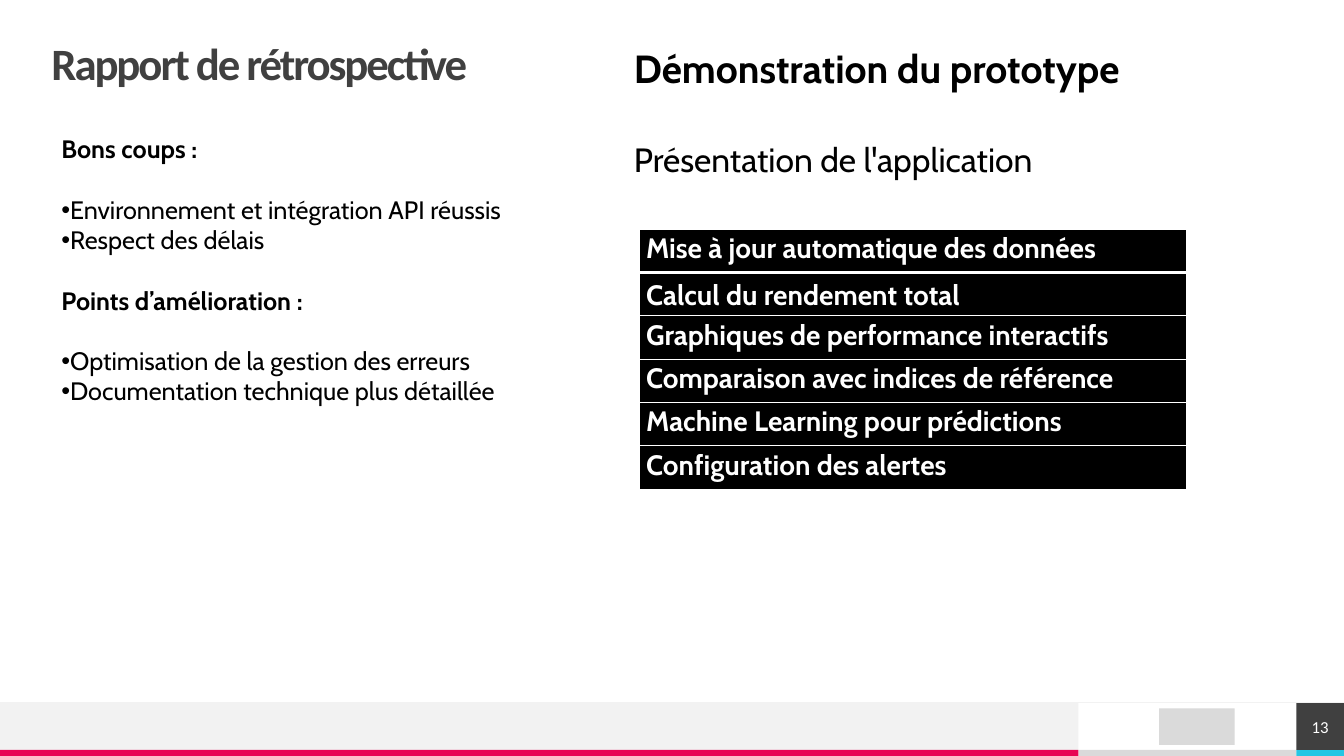
from lxml import etree
from pptx import Presentation
from pptx.dml.color import RGBColor
from pptx.enum import shapes, text
from pptx.oxml import ns
from pptx.util import Pt

BLACK, WHITE, DARK, LIGHT, CYAN = "000000", "FFFFFF", "404040", "F2F2F2", "25C6E3"
GREY = "DADADA"
PAGE_WIDTH, PAGE_HEIGHT = 960, 540
MIDDLE = text.MSO_ANCHOR.MIDDLE


def color(value):
    return RGBColor.from_string(value)


def add_span(para, words, size, font="Cabin", fill=BLACK, bold=False, spacing=0):
    """Add one run; spacing is the letter spacing in points."""
    span = para.add_run()
    span.text = words
    span.font.size = Pt(size)
    span.font.name = font
    span.font.bold = bold
    span.font.color.rgb = color(fill)
    if spacing:
        span.font._element.set("spc", str(round(spacing * 100)))


deck = Presentation()
deck.slide_width, deck.slide_height = Pt(PAGE_WIDTH), Pt(PAGE_HEIGHT)
page = deck.slides.add_slide(deck.slide_layouts[6])

# Footer band, with a plain block between the band and the page number
FOOTER_TOP, STRIPE_TOP = 502, 535.7
BAND_RIGHT, NUMBER_LEFT = 770.4, 926
footer_blocks = [
    (BAND_RIGHT, STRIPE_TOP, NUMBER_LEFT, PAGE_HEIGHT, GREY),
    (0, FOOTER_TOP, BAND_RIGHT, STRIPE_TOP, LIGHT),
    (828, 506, 882, 532, GREY),
    (0, STRIPE_TOP, BAND_RIGHT, PAGE_HEIGHT, "E80554"),
    (NUMBER_LEFT, STRIPE_TOP, PAGE_WIDTH, PAGE_HEIGHT, CYAN),
    (NUMBER_LEFT, FOOTER_TOP, PAGE_WIDTH, STRIPE_TOP, DARK),
]
for left, top, right, bottom, fill in footer_blocks:
    block = page.shapes.add_shape(shapes.MSO_SHAPE.RECTANGLE, Pt(left), Pt(top),
                                  Pt(right - left), Pt(bottom - top))
    block.shadow.inherit = False
    block.fill.solid()
    block.fill.fore_color.rgb = color(fill)
    block.line.fill.background()

rule = page.shapes.add_connector(shapes.MSO_CONNECTOR.STRAIGHT, Pt(PAGE_WIDTH),
                                 Pt(FOOTER_TOP), Pt(0), Pt(FOOTER_TOP))
rule.line.color.rgb = color(LIGHT)
rule.line.width = Pt(0.5)
etree.SubElement(rule._element.spPr, ns.qn("a:effectLst"))

# Text frames
frames = {}
for name, left, top, width, height, insets in [
    ("title", 36.7, 30, 368.6, 34, (0, 0, 0, 0)),
    ("number", NUMBER_LEFT, FOOTER_TOP, PAGE_WIDTH - NUMBER_LEFT,
     STRIPE_TOP - FOOTER_TOP, (0, 0, 0, 0)),
    ("review", 36.7, 92, 350, 203.8, (7.2, 3.6, 7.2, 3.6)),
    ("demo", 445.7, 28.1, 480.2, 104.4, (7.2, 3.6, 7.2, 3.6)),
]:
    box = page.shapes.add_textbox(Pt(left), Pt(top), Pt(width), Pt(height))
    frame = frames[name] = box.text_frame
    frame.word_wrap = True
    (frame.margin_left, frame.margin_top,
     frame.margin_right, frame.margin_bottom) = map(Pt, insets)

frames["title"].vertical_anchor = MIDDLE
para = frames["title"].paragraphs[0]
para.line_spacing = 0.9
add_span(para, "Rapport de rétrospective", 32, "Calibri", DARK, True, -1.5)

frames["number"].vertical_anchor = MIDDLE
para = frames["number"].paragraphs[0]
para.alignment = text.PP_ALIGN.CENTER
add_span(para, "13", 12, "Calibri", WHITE)

# Retrospective: headings and bulleted points
LINE_GAP = 21.6
review = {
    "Bons coups :": ["Environnement et intégration API réussis", "Respect des délais"],
    "Points d’amélioration :": ["Optimisation de la gestion des erreurs",
                                "Documentation technique plus détaillée"],
}
para = frames["review"].paragraphs[0]
for heading, points in review.items():
    if para.runs:
        para = frames["review"].add_paragraph()
        para.space_before = Pt(LINE_GAP)
    add_span(para, heading, 18, bold=True)
    for index, point in enumerate(points):
        para = frames["review"].add_paragraph()
        para.space_before = Pt(0 if index else LINE_GAP)
        bullet = para._p.get_or_add_pPr()
        etree.SubElement(bullet, ns.qn("a:buFont"), typeface="Arial")
        etree.SubElement(bullet, ns.qn("a:buChar"), char="•")
        add_span(para, point, 18)

# Prototype demonstration
add_span(frames["demo"].paragraphs[0], "Démonstration du prototype", 28, bold=True)
para = frames["demo"].add_paragraph()
para.space_before = Pt(34)
add_span(para, "Présentation de l'application", 24)

features = [
    "Mise à jour automatique des données",
    "Calcul du rendement total",
    "Graphiques de performance interactifs",
    "Comparaison avec indices de référence",
    "Machine Learning pour prédictions",
    "Configuration des alertes",
]
ROW_HEIGHT = 31
table = page.shapes.add_table(len(features), 1, Pt(456.5), Pt(163.6), Pt(391),
                              Pt(ROW_HEIGHT * len(features))).table
for index, feature in enumerate(features):
    table.rows[index].height = Pt(ROW_HEIGHT)
    cell = table.cell(index, 0)
    cell.fill.solid()
    cell.fill.fore_color.rgb = color(BLACK)
    cell.margin_left = cell.margin_right = Pt(5)
    cell.margin_top = cell.margin_bottom = Pt(0)
    cell.vertical_anchor = MIDDLE if index == 1 else text.MSO_ANCHOR.TOP
    para = cell.text_frame.paragraphs[0]
    para.line_spacing = 1.07
    para.space_after = Pt(8)
    add_span(para, feature, 20, fill=WHITE, bold=True)

    # The first row is set off by a thicker line
    widths = {"L": 1, "R": 1, "T": 3 if index == 1 else 1, "B": 3 if index == 0 else 1}
    properties = cell._tc.get_or_add_tcPr()
    for place, (side, width) in enumerate(widths.items()):
        border = etree.Element(ns.qn(f"a:ln{side}"), w=str(Pt(width)))
        solid = etree.SubElement(border, ns.qn("a:solidFill"))
        etree.SubElement(solid, ns.qn("a:srgbClr"), val=WHITE)
        properties.insert(place, border)

deck.save("out.pptx")
